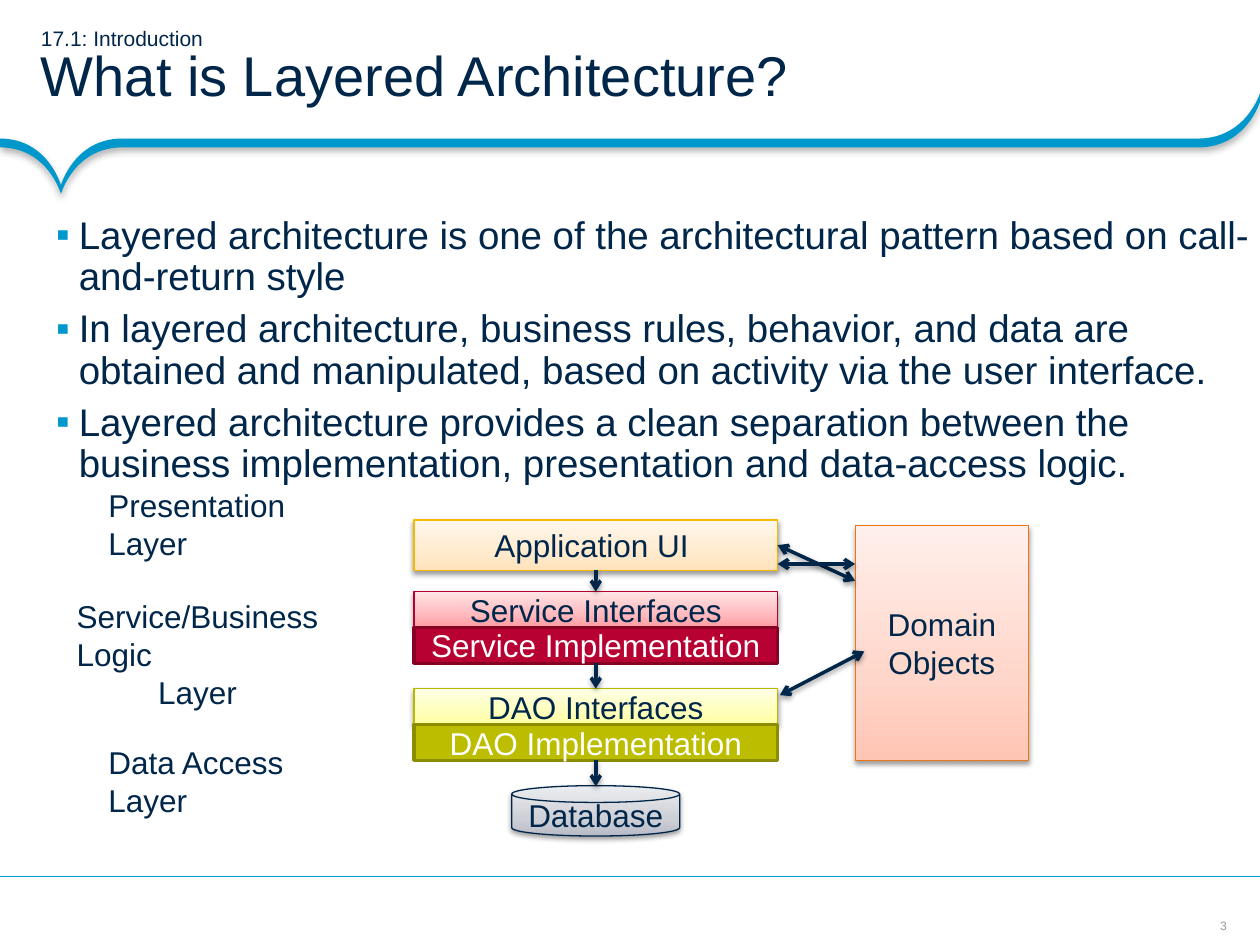
from lxml import etree
from copy import deepcopy
from pptx import Presentation
from pptx.dml.color import RGBColor
from pptx.enum.shapes import MSO_CONNECTOR, MSO_SHAPE
from pptx.enum.text import MSO_ANCHOR, PP_ALIGN
from pptx.oxml.ns import qn
from pptx.util import Inches, Pt

LINE = MSO_CONNECTOR.STRAIGHT
RECT, DISK = MSO_SHAPE.RECTANGLE, MSO_SHAPE.FLOWCHART_MAGNETIC_DISK
TOP, MID = MSO_ANCHOR.TOP, MSO_ANCHOR.MIDDLE
LEFT, CENTER = PP_ALIGN.LEFT, PP_ALIGN.CENTER

COLS, ROWS = 100, 75
NAVY, BLUE, GREY, WHITE = "00264A", "0098CC", "9F958F", "FFFFFF"
SOFT = (38, 3.1, 1.6)  # opacity %, blur pt, distance pt

POINTS = [
    "Layered architecture is one of the architectural pattern based on "
    "call-and-return style",
    "In layered architecture, business rules, behavior, and data are obtained "
    "and manipulated, based on activity via the user interface.",
    "Layered architecture provides a clean separation between the business "
    "implementation, presentation and data-access logic.",
]


def cell(n):
    """Length of n grid cells; the cells are square."""
    return Inches(n * 10 / COLS)


def rgb(code):
    return RGBColor.from_string(code)


def sub(node, tag, **attrs):
    return etree.SubElement(node, qn(tag), {k: str(v) for k, v in attrs.items()})


def shade(item, alpha, blur, dist):
    """Give the item a shadow that falls straight down."""
    props = item._element.spPr
    effects = props.find(qn("a:effectLst"))
    if effects is None:
        effects = sub(props, "a:effectLst")
    cast = sub(effects, "a:outerShdw", blurRad=Pt(blur), dist=Pt(dist),
               dir=90 * 60000, rotWithShape=0)
    sub(sub(cast, "a:srgbClr", val="000000"), "a:alpha", val=alpha * 1000)


def blend(shape, codes):
    """Fill upwards through three colours."""
    fill = shape.fill
    fill.gradient()
    fill.gradient_angle = 90
    stops = shape._element.spPr.find(qn("a:gradFill")).find(qn("a:gsLst"))
    stops.insert(1, deepcopy(stops[0]))
    for stop, code, spot in zip(fill.gradient_stops, codes, (0, 0.35, 1)):
        stop.color.rgb = rgb(code)
        stop.position = spot


def add_run(para, text, size, color=NAVY):
    run = para.add_run()
    run.text = text
    run.font.size, run.font.name = Pt(size), "Arial"
    run.font.color.rgb = rgb(color)


def add_para(frame, first, align=LEFT):
    para = frame.paragraphs[0] if first else frame.add_paragraph()
    para.alignment = align
    return para


def add_text(slide, x, y, w, h, pads=(1, 0.5, 1, 0.5), anchor=TOP):
    box = slide.shapes.add_textbox(cell(x), cell(y), cell(w), cell(h))
    frame = box.text_frame
    frame.word_wrap, frame.vertical_anchor = True, anchor
    (frame.margin_left, frame.margin_top,
     frame.margin_right, frame.margin_bottom) = map(cell, pads)
    return frame


def add_label(slide, x, y, w, h, lines):
    frame = add_text(slide, x, y, w, h)
    for i, line in enumerate(lines):
        add_run(add_para(frame, i == 0, CENTER if i else LEFT), line, 18)


def add_box(slide, kind, x, y, w, h, lines, fill, edge):
    """Add a box: three fill colours make it light, one makes it solid."""
    shape = slide.shapes.add_shape(kind, cell(x), cell(y), cell(w), cell(h))
    shape.shadow.inherit = False
    light = len(fill) == 3
    if light:
        blend(shape, fill)
        shade(shape, *SOFT)
    else:
        shape.fill.solid()
        shape.fill.fore_color.rgb = rgb(fill[0])
    shape.line.color.rgb = rgb(edge)
    shape.line.width = Pt(0.75 if light else 2)
    frame = shape.text_frame
    frame.word_wrap, frame.vertical_anchor = True, MID
    for i, line in enumerate(lines):
        add_run(add_para(frame, i == 0, CENTER), line, 18,
                NAVY if light else WHITE)
    return shape


def add_line(slide, x1, y1, x2, y2, color, width):
    line = slide.shapes.add_connector(LINE, *map(cell, (x1, y1, x2, y2)))
    line.line.color.rgb, line.line.width = rgb(color), Pt(width)
    return line


def add_arrow(slide, x1, y1, x2, y2, ends=("a:tailEnd",)):
    arrow = add_line(slide, x1, y1, x2, y2, NAVY, 2)
    for end in ends:
        sub(arrow._element.spPr.find(qn("a:ln")), end, type="arrow")
    shade(arrow, *SOFT)
    return arrow


def bend(shape):
    """Turn each three line steps of the outline into one cubic curve."""
    steps = list(shape._element.iter(qn("a:lnTo")))
    for trio in zip(steps[::3], steps[1::3], steps[2::3]):
        curve = etree.Element(qn("a:cubicBezTo"))
        trio[0].addprevious(curve)
        for step in trio:
            curve.append(step[0])
            step.getparent().remove(step)


def add_band(slide):
    """Add the ribbon: one edge, and the same edge a little lower."""
    base, tip, end, thick = 11, (4.84, 14.7), (COLS, 7.4), 0.7
    near, far = (9.7, base), (95.1, base)
    edge = [(0, base), (3.8, base), tip, tip, tip, (5.9, base), near,
            near, far, far, (98.9, base), end, end]
    low = [(x, y + thick) for x, y in reversed(edge)]
    ring = edge + [low[0]] * 2 + low
    dots = [(cell(x), cell(y)) for x, y in ring]
    maker = slide.shapes.build_freeform(*dots[0])
    maker.add_line_segments(dots[1:], close=True)
    band = maker.convert_to_shape()
    bend(band)
    band.shadow.inherit = False
    band.fill.solid()
    band.fill.fore_color.rgb = rgb(BLUE)
    band.line.fill.background()
    shade(band, 31, 4, 2)


def add_title(slide):
    frame = add_text(slide, 0, 0, COLS, 10.9, (3.25, 0.4, 1.8, 0.4), MID)
    para = add_para(frame, True)
    para.line_spacing = 0.85
    add_run(para, "17.1: Introduction ", 12)
    para.add_line_break()
    add_run(para, "What is Layered Architecture?", 32)


def add_points(slide):
    frame = add_text(slide, 3.25, 16.33, 96.75, 50.8, (1.2, 0.8, 0.7, 0.8))
    for i, point in enumerate(POINTS):
        para = add_para(frame, i == 0)
        para.line_spacing, para.space_after = 0.9, Pt(6)
        props = para._p.get_or_add_pPr()
        props.set("marL", str(cell(1.8)))
        props.set("indent", str(-cell(1.8)))
        sub(sub(props, "a:buClr"), "a:srgbClr", val=BLUE)
        sub(props, "a:buFont", typeface="Arial")
        sub(props, "a:buChar", char="▪")
        add_run(para, point, 22)


def add_stack(slide):
    x, w, thin, tall = 32.85, 28.87, 2.85, 4
    mid, right = x + w / 2, x + w
    rows = [
        (41.27, tall, "Application UI ", ("FFE2BA", "FFEACE", "FFF7ED"), "F4BA00"),
        (46.95, thin, "Service Interfaces", ("FF9CA2", "FFB9BD", "FFE5E6"), "B40030"),
        (46.95 + thin, thin, "Service Implementation", ("B70132",), "870125"),
        (54.65, thin, "DAO Interfaces", ("FFFF9F", "FFFFBB", "FFFFE5"), "B9B900"),
        (54.65 + thin, thin, "DAO Implementation", ("BDBD00",), "8C8C00"),
    ]
    ui, face, impl, dao, store = [
        add_box(slide, RECT, x, y, w, h, [text], fill, edge)
        for y, h, text, fill, edge in rows]
    add_box(slide, DISK, mid - 6.67, 62.36, 13.33, tall, ["Database"],
            ("B8BBC6", "CED0D7", "ECEDF0"), "002548")
    add_box(slide, RECT, 67.87, 41.7, 13.75, 18.64, ["Domain", "Objects"],
            ("FFC5B4", "FFD6CA", "FFEFEB"), "ED7414")

    for upper, lower in ((ui, face), (impl, dao), (store, None)):
        arrow = add_arrow(slide, mid, 60.4, mid, 62.4)
        arrow.begin_connect(upper, 2)
        if lower:
            arrow.end_connect(lower, 0)
    both = ("a:headEnd", "a:tailEnd")
    add_arrow(slide, right, 43.3, 67.87, 46.1, both).begin_connect(ui, 3)
    add_arrow(slide, right, 44.76, 67.87, 44.76, both)
    add_arrow(slide, 61.9, 55.17, 68.6, 51.7, both)


def main():
    deck = Presentation()
    deck.slide_width, deck.slide_height = cell(COLS), cell(ROWS)
    slide = deck.slides.add_slide(deck.slide_layouts[6])
    page = add_text(slide, 96.5, 72.85, 1.2, 1.2, (0, 0, 0, 0), MID)
    add_run(add_para(page, True, CENTER), "3", 7, GREY)
    add_band(slide)
    add_line(slide, COLS, 69.56, 0, 69.56, BLUE, 0.75)._element.spPr.append(
        etree.Element(qn("a:effectLst")))
    add_title(slide)
    add_points(slide)
    add_label(slide, 7.62, 38.1, 20, 7, ["Presentation Layer"])
    add_label(slide, 5.1, 46.9, 21.15, 10, ["Service/Business Logic", "Layer"])
    add_label(slide, 7.62, 58.5, 20, 7, ["Data Access Layer"])
    add_stack(slide)
    deck.save("out.pptx")


if __name__ == "__main__":
    main()
